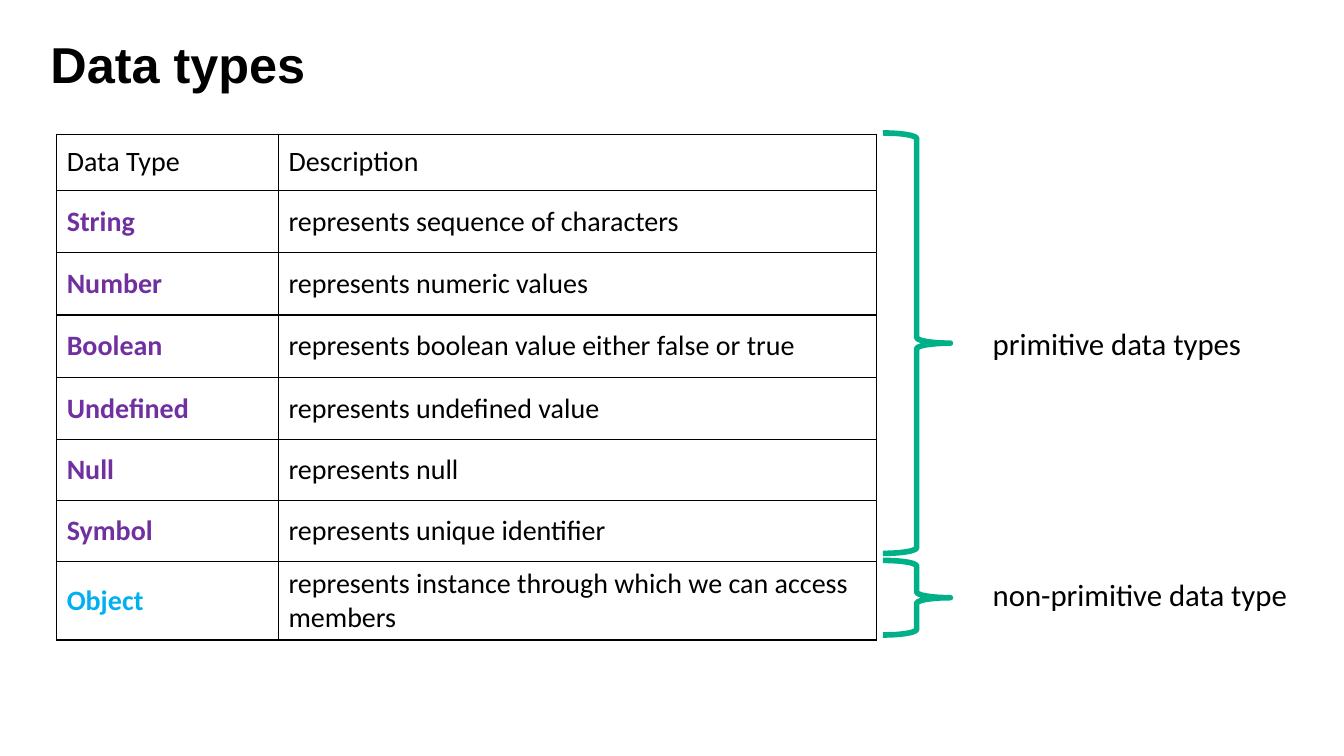
from dataclasses import dataclass

from lxml.etree import SubElement
from pptx import Presentation
from pptx.dml.color import RGBColor
from pptx.enum.shapes import MSO_SHAPE
from pptx.enum.text import MSO_ANCHOR, MSO_AUTO_SIZE, PP_ALIGN
from pptx.oxml.ns import qn
from pptx.slide import Slide
from pptx.table import _Cell
from pptx.text.text import TextFrame
from pptx.util import Pt


@dataclass(frozen=True)
class Theme:
    head: str = "Arial"
    body: str = "Calibri"
    black: str = "000000"
    purple: str = "7030A0"
    blue: str = "00B0F0"
    green: str = "00B188"
    title: int = 36
    cell: int = 20
    label: int = 22


@dataclass(frozen=True)
class Entry:
    name: str
    about: str
    tint: str
    height: float
    bold: bool = True


@dataclass(frozen=True)
class Group:
    label: str
    top: float
    height: float
    text_top: float
    text_width: float


THEME = Theme()
ENTRIES = [
    Entry("Data Type", "Description", THEME.black, 40.3, False),
    Entry("String", "represents sequence of characters", THEME.purple, 44.5),
    Entry("Number", "represents numeric values", THEME.purple, 44.5),
    Entry("Boolean", "represents boolean value either false or true", THEME.purple, 44.5),
    Entry("Undefined", "represents undefined value", THEME.purple, 44.5),
    Entry("Null", "represents null", THEME.purple, 43.5),
    Entry("Symbol", "represents unique identifier", THEME.purple, 43.5),
    Entry("Object", "represents instance through which we can access members",
          THEME.blue, 46),
]
GROUPS = [
    Group("primitive data types", 95, 300.3, 228.5, 193.7),
    Group("non-primitive data type", 400.3, 53.3, 407.5, 226.8),
]


def write(frame: TextFrame, text: str, face: str, size: int, tint: str,
          bold: bool = False) -> None:
    frame.text = text
    para = frame.paragraphs[0]
    para.alignment = PP_ALIGN.LEFT
    font = para.font
    font.name, font.size, font.bold = face, Pt(size), bold
    font.color.rgb = RGBColor.from_string(tint)


def border(cell: _Cell) -> None:
    props = cell._tc.get_or_add_tcPr()
    for spot, side in enumerate(("lnL", "lnR", "lnT", "lnB")):
        line = SubElement(props, qn(f"a:{side}"), w=str(Pt(1)))
        fill = SubElement(line, qn("a:solidFill"))
        SubElement(fill, qn("a:srgbClr"), val=THEME.black)
        props.insert(spot, line)


def add_title(slide: Slide, text: str) -> None:
    title = slide.shapes.title
    title.left, title.top, title.width, title.height = (
        Pt(28.8), Pt(27.4), Pt(910.8), Pt(41.8))
    frame = title.text_frame
    write(frame, text, THEME.head, THEME.title, THEME.black, True)
    frame.vertical_anchor = MSO_ANCHOR.MIDDLE
    frame.auto_size = MSO_AUTO_SIZE.NONE
    frame.paragraphs[0].line_spacing = 0.9


def add_types(slide: Slide, entries: list[Entry]) -> None:
    widths = (158.4, 427)
    table = slide.shapes.add_table(
        len(entries), len(widths), Pt(40.5), Pt(95.8), Pt(sum(widths)),
        Pt(sum(entry.height for entry in entries))).table
    table.first_row = table.horz_banding = False
    for column, width in zip(table.columns, widths):
        column.width = Pt(width)
    for row, entry in zip(table.rows, entries):
        row.height = Pt(entry.height)
        name, about = row.cells
        write(name.text_frame, entry.name, THEME.body, THEME.cell, entry.tint, entry.bold)
        write(about.text_frame, entry.about, THEME.body, THEME.cell, THEME.black)
        for cell in (name, about):
            cell.vertical_anchor = MSO_ANCHOR.MIDDLE
            cell.fill.background()
            border(cell)


def add_group(slide: Slide, group: Group) -> None:
    brace = slide.shapes.add_shape(
        MSO_SHAPE.RIGHT_BRACE, Pt(630.7), Pt(group.top), Pt(48.2), Pt(group.height))
    brace.shadow.inherit = False
    brace.fill.background()
    brace.line.color.rgb = RGBColor.from_string(THEME.green)
    brace.line.width = Pt(4)
    label = slide.shapes.add_textbox(
        Pt(702), Pt(group.text_top), Pt(group.text_width), Pt(33.8))
    frame = label.text_frame
    frame.word_wrap = False
    frame.auto_size = MSO_AUTO_SIZE.SHAPE_TO_FIT_TEXT
    write(frame, group.label, THEME.body, THEME.label, THEME.black)


def main() -> None:
    deck = Presentation()
    deck.slide_width, deck.slide_height = Pt(960), Pt(540)
    slide = deck.slides.add_slide(deck.slide_layouts.get_by_name("Title Only"))

    # Heading and table
    add_title(slide, "Data types")
    add_types(slide, ENTRIES)

    # Braces with their labels
    for group in GROUPS:
        add_group(slide, group)

    deck.save("out.pptx")


if __name__ == "__main__":
    main()
